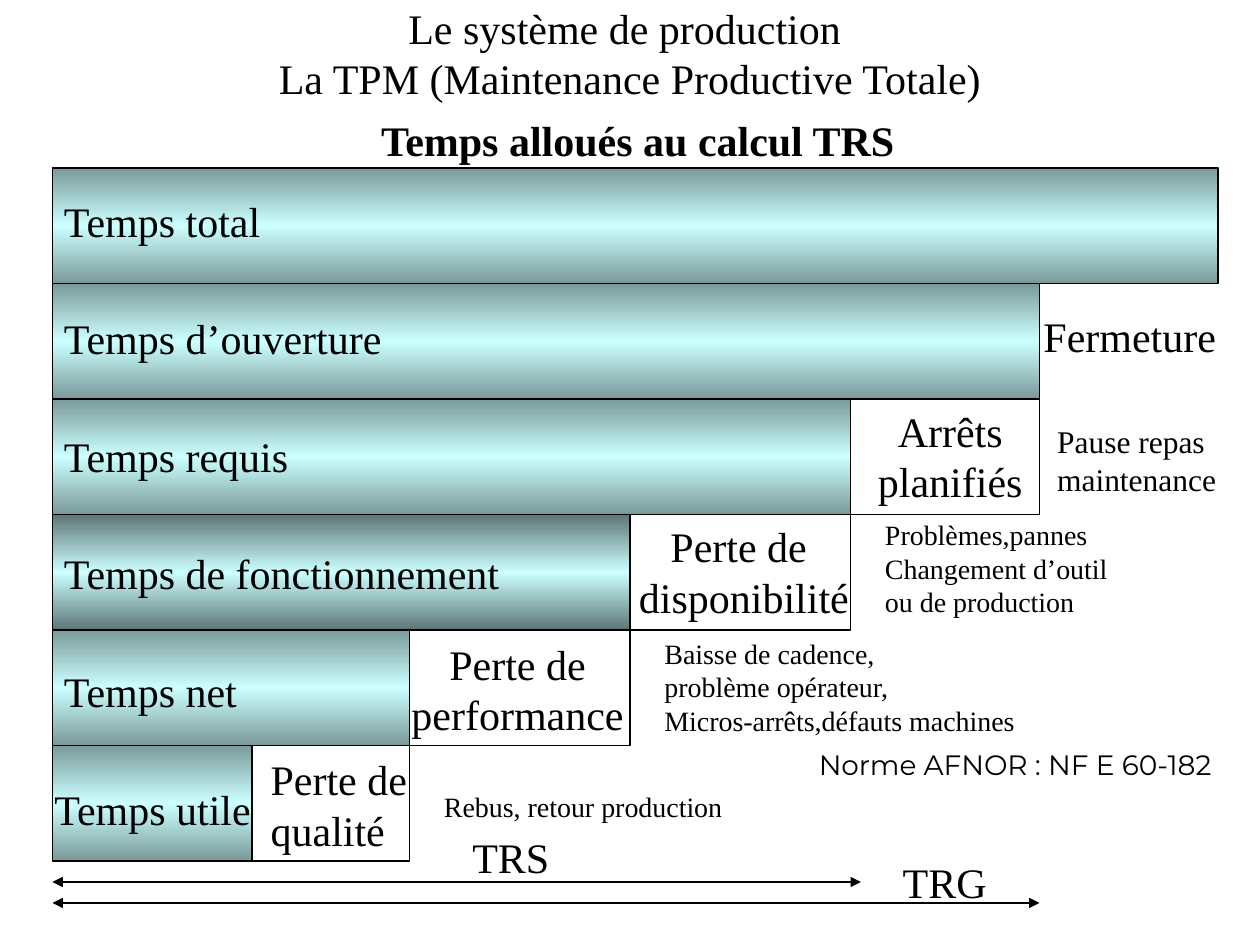
from copy import deepcopy
from dataclasses import dataclass

from lxml import etree
from pptx import Presentation
from pptx.dml.color import RGBColor
from pptx.enum.shapes import MSO_CONNECTOR, MSO_SHAPE
from pptx.enum.text import MSO_ANCHOR, MSO_AUTO_SIZE, PP_ALIGN
from pptx.oxml.ns import qn
from pptx.util import Inches, Pt

RECT, LINE = MSO_SHAPE.RECTANGLE, MSO_CONNECTOR.STRAIGHT
LEFT, CENTER = PP_ALIGN.LEFT, PP_ALIGN.CENTER
TOP, MIDDLE = MSO_ANCHOR.TOP, MSO_ANCHOR.MIDDLE
GROW, FIXED = MSO_AUTO_SIZE.SHAPE_TO_FIT_TEXT, MSO_AUTO_SIZE.NONE


@dataclass(frozen=True)
class Theme:
    ink: str = "000000"
    edge: str = "7B9A9A"
    dark: str = "5E7575"
    glow: str = "CCFFFF"
    font: str = "Times New Roman"
    alt: str = "Montserrat"
    big: int = 24
    mid: int = 18
    small: int = 16
    rule: float = 0.75


class Board:
    """A slide on a grid of 120 columns and 90 rows."""

    def __init__(self, deck, theme):
        self.theme = theme
        self.slide = deck.slides.add_slide(deck.slide_layouts[6])
        self.col = deck.slide_width / 120
        self.row = deck.slide_height / 90

    def place(self, x, y, w, h):
        return [round(n) for n in (x * self.col, y * self.row,
                                   w * self.col, h * self.row)]

    def stroke(self, line):
        line.color.rgb = RGBColor.from_string(self.theme.ink)
        line.width = Pt(self.theme.rule)

    def box(self, x, y, w, h, edge=None):
        """Draw an outlined box, filled with a mirrored gradient if edge is set."""
        shape = self.slide.shapes.add_shape(RECT, *self.place(x, y, w, h))
        shape.shadow.inherit = False
        self.stroke(shape.line)
        if not edge:
            shape.fill.background()
            return
        shape.fill.gradient()
        shape.fill.gradient_angle = 90
        stops = shape._element.spPr.find(qn("a:gradFill")).find(qn("a:gsLst"))
        stops.insert(1, deepcopy(stops[0]))
        hues = (edge, self.theme.glow, edge)
        for stop, hue, pos in zip(shape.fill.gradient_stops, hues, (0, 0.5, 1)):
            stop.color.rgb = RGBColor.from_string(hue)
            stop.position = pos

    def text(self, words, x, y, w, h, size=None, font=None, align=LEFT,
             anchor=TOP, wrap=False, fit=GROW, bold=False, inset=0.05):
        frame = self.slide.shapes.add_textbox(*self.place(x, y, w, h)).text_frame
        frame.text = words
        frame.word_wrap, frame.auto_size = wrap, fit
        frame.vertical_anchor = anchor
        frame.margin_top = Inches(inset)
        for para in frame.paragraphs:
            para.alignment = align
            para.font.name = font or self.theme.font
            para.font.size = Pt(size or self.theme.big)
            para.font.bold = bold
            para.font.color.rgb = RGBColor.from_string(self.theme.ink)

    def arrow(self, x, y, w):
        """Draw a level line with a head at both ends."""
        left, top, wide, _ = self.place(x, y, w, 0)
        link = self.slide.shapes.add_connector(LINE, left, top, left + wide, top)
        self.stroke(link.line)
        for end in ("headEnd", "tailEnd"):
            etree.SubElement(link.line._get_or_add_ln(), qn("a:" + end),
                             type="triangle")
        etree.SubElement(link._element.spPr, qn("a:effectLst"))


def main():
    deck = Presentation()
    deck.slide_width, deck.slide_height = Inches(10), Inches(7.5)
    theme = Theme()
    board = Board(deck, theme)
    left, top, tall = 5, 16, 11

    board.text("Le système de production \nLa TPM (Maintenance Productive Totale)",
               0, -1, 120, 12, align=CENTER, anchor=MIDDLE, wrap=True, fit=FIXED)
    board.text("Temps alloués au calcul TRS", 16.5, 5, 88.5, 13, align=CENTER,
               wrap=True, fit=FIXED, bold=True, inset=0.49)

    # label, bar width, label left, label width, edge colour
    bars = [
        ("Temps total", 111, 4.9, 21.6, theme.edge),
        ("Temps d’ouverture", 94, 4.9, 33.1, theme.edge),
        ("Temps requis", 76, 4.9, 24.2, theme.edge),
        ("Temps de fonctionnement", 55, 4.9, 44.4, theme.dark),
        ("Temps net", 34, 4.9, 19.4, theme.edge),
        ("Temps utile", 19, 4, 21.6, theme.edge),
    ]
    for i, (label, wide, x, w, edge) in enumerate(bars):
        y = top + i * tall
        board.box(left, y, wide, tall, edge)
        if i > 1:
            board.box(left + wide, y, bars[i - 1][1] - wide, tall)
        board.text(label, x, 18 + 11.2 * i, w, 6)

    # label, left, top, width, alignment, wrap
    losses = [
        ("Arrêts planifiés", 82, 38, 17, CENTER, True),
        ("Perte de \ndisponibilité", 59.5, 49, 22.7, CENTER, False),
        ("Perte de\nperformance", 37.9, 60.2, 22.8, CENTER, False),
        ("Perte de\nqualité", 24.6, 71.2, 15.4, LEFT, True),
    ]
    for label, x, y, w, align, wrap in losses:
        board.text(label, x, y, w, 10.8, align=align, wrap=wrap)

    # note, left, top, width, height, size
    notes = [
        ("Fermeture", 98.2, 29, 19, 6, theme.big),
        ("Pause repas\nmaintenance", 99.5, 39.6, 17.8, 8.4, theme.mid),
        ("Problèmes,pannes\nChangement d’outil\nou de production",
         83.1, 48.7, 24.4, 10.8, theme.small),
        ("Baisse de cadence,\nproblème opérateur,\nMicros-arrêts,défauts machines",
         62.1, 60, 36, 10.8, theme.small),
        ("Rebus, retour production", 41.1, 74.6, 29.1, 4.4, theme.small),
        ("TRS", 43.8, 78.6, 9.9, 6, theme.big),
        ("TRG", 84.8, 81, 10.6, 6, theme.big),
    ]
    for note in notes:
        board.text(*note)
    board.text("Norme AFNOR : NF E 60-182", 76.8, 70.6, 40.4, 8.4, theme.small,
               theme.alt, fit=FIXED)

    board.arrow(left, 84, 77)
    board.arrow(left, 86, 94)
    deck.save("out.pptx")


if __name__ == "__main__":
    main()
